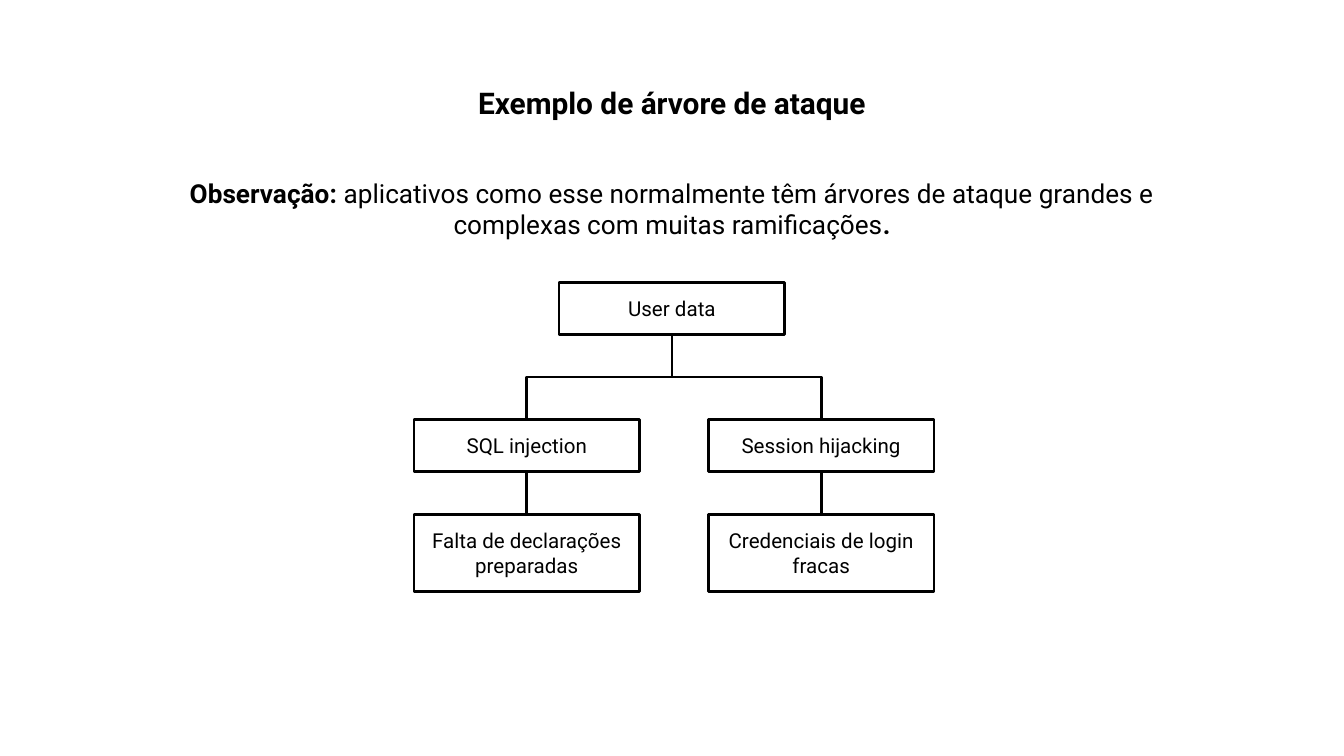
from lxml.etree import SubElement
from pptx import Presentation
from pptx.dml.color import RGBColor
from pptx.enum.shapes import MSO_CONNECTOR as Link, MSO_SHAPE as Shape
from pptx.enum.text import MSO_ANCHOR as Anchor, PP_ALIGN as Align
from pptx.oxml.ns import qn
from pptx.util import Inches, Pt

BLACK, WHITE = "000000", "FFFFFF"
SLIDE_W = 10
SLIDE_H = SLIDE_W * 9 / 16
NODE_W, NODE_H, LEAF_H = 1.68, 0.39, 0.57
ROOT_X, ROOT_Y, THREAT_Y, LEAF_Y = SLIDE_W / 2, 2.1, 3.12, 3.83
BRANCHES = [
    (3.92, "SQL injection", "Falta de declarações preparadas"),
    (6.11, "Session hijacking", "Credenciais de login fracas"),
]


def color(value):
    return RGBColor.from_string(value)


def write(frame, *runs, size=11, font="Roboto", ink=BLACK, anchor=Anchor.TOP):
    frame.word_wrap = True
    frame.vertical_anchor = anchor
    frame.margin_left = frame.margin_right = Inches(0.1)
    frame.margin_top = frame.margin_bottom = Inches(0.1)
    paragraph = frame.paragraphs[0]
    paragraph.alignment = Align.CENTER
    for words, bold in runs:
        run = paragraph.add_run()
        run.text = words
        run.font.name = font
        run.font.size = Pt(size)
        run.font.bold = bold
        run.font.color.rgb = color(ink)


def add_text(slide, top, height, *runs, **style):
    box = slide.shapes.add_textbox(
        Inches(1.3), Inches(top), Inches(7.4), Inches(height))
    write(box.text_frame, *runs, **style)


def outline(line):
    line.color.rgb = color(BLACK)
    line.width = Pt(1.5)


def add_node(slide, center, top, height, label):
    node = slide.shapes.add_shape(
        Shape.RECTANGLE, Inches(center - NODE_W / 2), Inches(top),
        Inches(NODE_W), Inches(height))
    node.shadow.inherit = False
    node.fill.background()
    outline(node.line)
    write(node.text_frame, (label, False), anchor=Anchor.MIDDLE)


def add_branch(slide, child_x, child_y, parent_x, parent_y):
    mid_x, mid_y = (child_x + parent_x) / 2, (child_y + parent_y) / 2
    side = 1 if child_x > parent_x else -1
    reach = side * (child_y - parent_y) / 2
    spread = abs(child_x - parent_x) / 2
    branch = slide.shapes.add_connector(
        Link.ELBOW, Inches(mid_x + reach), Inches(mid_y - spread),
        Inches(mid_x - reach), Inches(mid_y + spread))
    outline(branch.line)
    properties = branch._element.spPr
    SubElement(properties, qn("a:effectLst"))
    angle = 90 if side > 0 else 270
    properties.find(qn("a:xfrm")).set("rot", str(angle * 60000))


def main():
    deck = Presentation()
    deck.slide_width, deck.slide_height = Inches(SLIDE_W), Inches(SLIDE_H)
    slide = deck.slides.add_slide(deck.slide_layouts[6])
    slide.background.fill.solid()
    slide.background.fill.fore_color.rgb = color(WHITE)

    add_text(slide, 0.53, 0.47, ("Exemplo de árvore de ataque", True), size=16)
    add_text(slide, 1.22, 0.67, ("Observação: ", True),
             ("aplicativos como esse normalmente têm árvores de ataque "
              "grandes e complexas com muitas ramificações", False),
             (".", True), size=14)

    add_node(slide, ROOT_X, ROOT_Y, NODE_H, "User data")
    for center, threat, weakness in BRANCHES:
        add_branch(slide, center, THREAT_Y, ROOT_X, ROOT_Y + NODE_H)
        add_branch(slide, center, LEAF_Y, center, THREAT_Y + NODE_H)
        add_node(slide, center, THREAT_Y, NODE_H, threat)
        add_node(slide, center, LEAF_Y, LEAF_H, weakness)

    deck.save("out.pptx")


if __name__ == "__main__":
    main()
